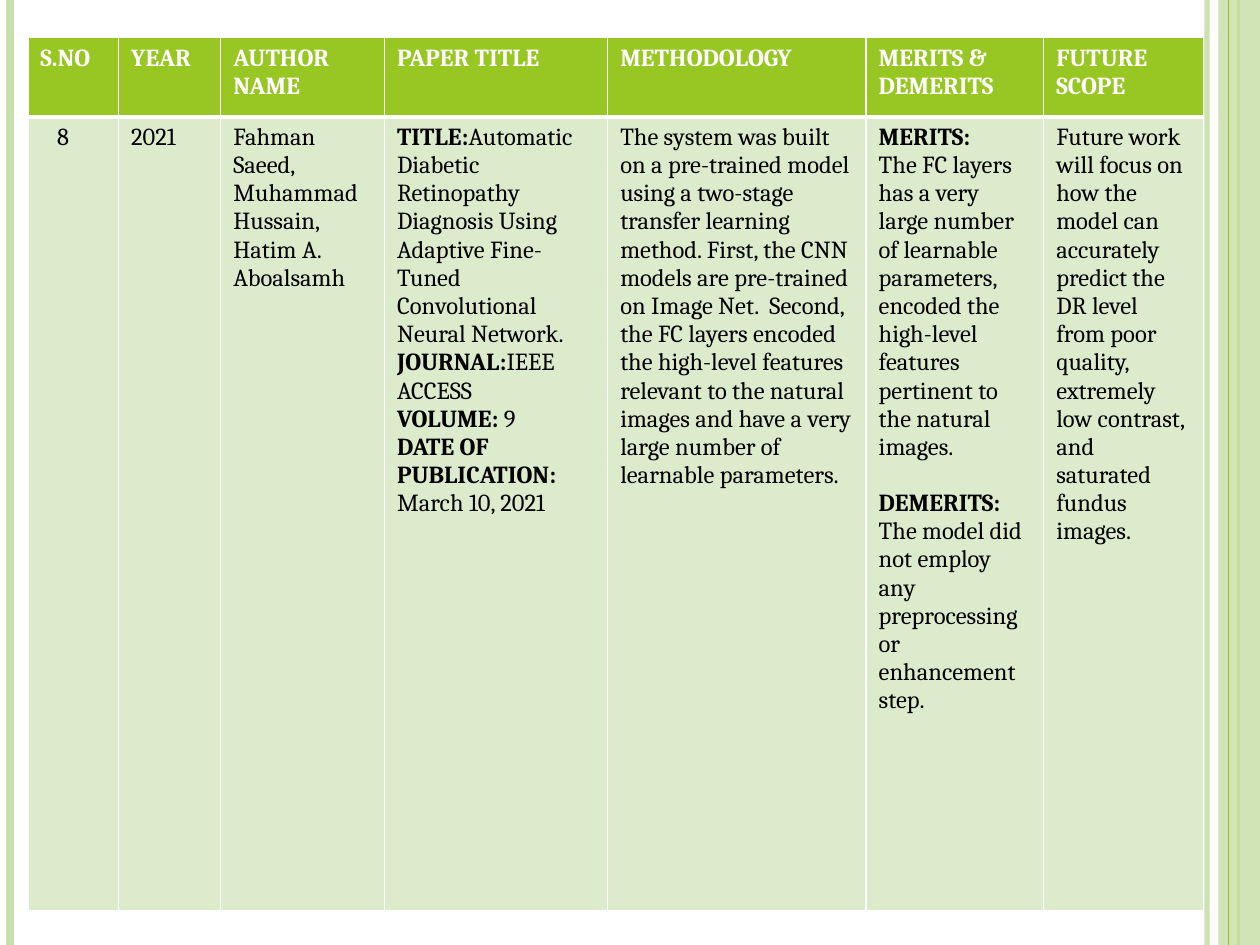
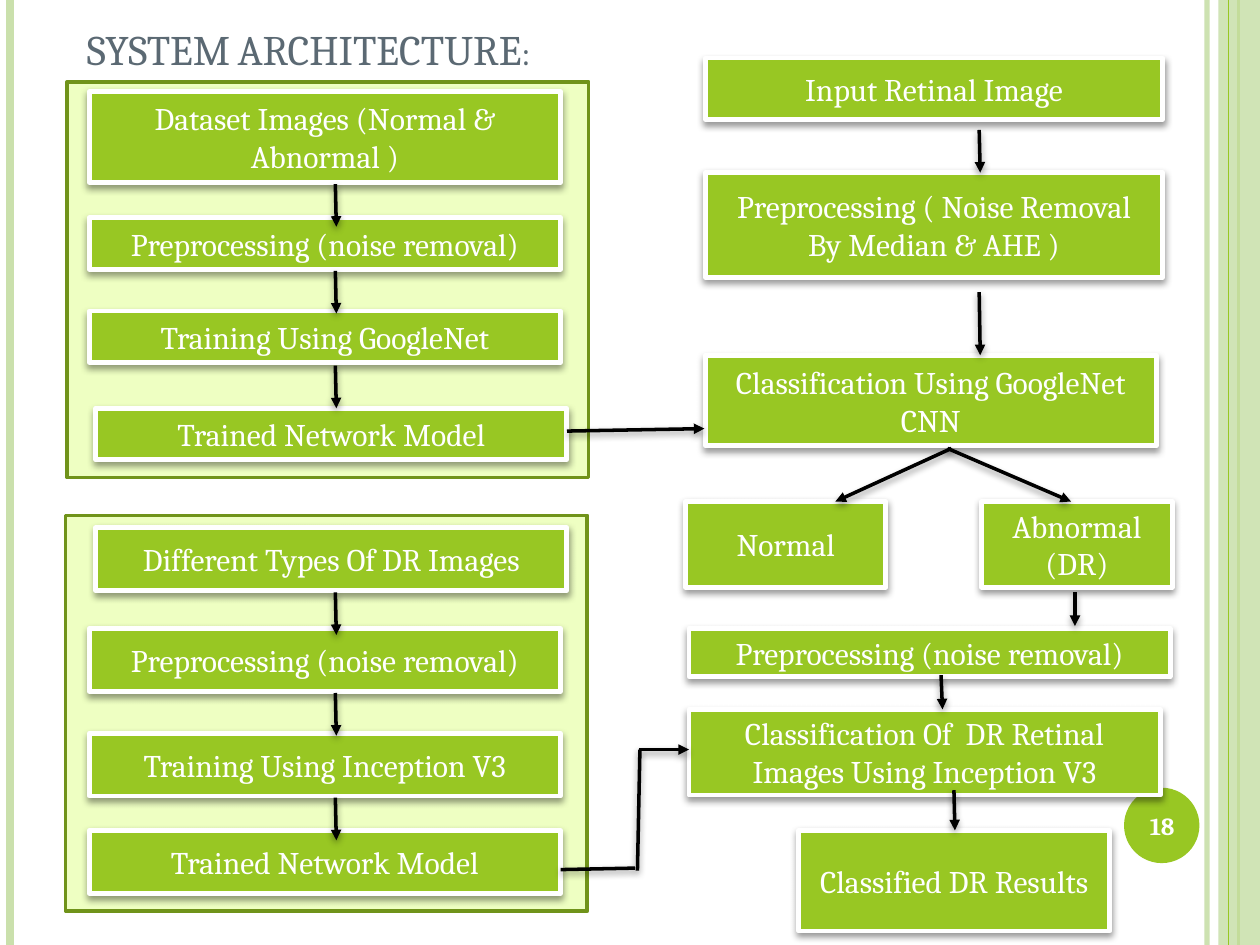
from lxml import etree
from pptx import Presentation
from pptx.dml.color import RGBColor
from pptx.enum.shapes import MSO_CONNECTOR, MSO_SHAPE
from pptx.enum.text import MSO_ANCHOR, PP_ALIGN
from pptx.oxml.ns import qn
from pptx.util import Cm, Pt

RECT, OVAL = MSO_SHAPE.RECTANGLE, MSO_SHAPE.OVAL
STRAIGHT = MSO_CONNECTOR.STRAIGHT
LEFT, CENTER = PP_ALIGN.LEFT, PP_ALIGN.CENTER
MIDDLE, BOTTOM = MSO_ANCHOR.MIDDLE, MSO_ANCHOR.BOTTOM

GREEN = RGBColor(0x98, 0xC7, 0x23)
DARK_GREEN = RGBColor(0x70, 0x93, 0x1A)
BAND_GREEN = RGBColor(0xCA, 0xE0, 0xAC)
PANEL_GREEN = RGBColor(0xE6, 0xFF, 0xA6)
CELL_GREEN = RGBColor(0xDD, 0xEB, 0xCD)
SLATE = RGBColor(0x5B, 0x69, 0x73)
WHITE = RGBColor(0xFF, 0xFF, 0xFF)
BLACK = RGBColor(0, 0, 0)
FONT = "Cambria"
WIDTH, HEIGHT = 25.4, 19.05

COLUMN_WIDTHS = [1.83, 2.06, 3.3, 4.5, 5.21, 3.58, 3.22]
ROW_HEIGHTS = [1.6, 16]
HEADERS = ["S.NO", "YEAR", "AUTHOR NAME", "PAPER TITLE", "METHODOLOGY",
           "MERITS &\nDEMERITS", "FUTURE SCOPE"]
# Each cell is a list of paragraphs; each paragraph is (bold lead, plain text).
PAPER = [
    [("", "8")],
    [("", "2021")],
    [("", "Fahman Saeed, Muhammad Hussain, Hatim A. Aboalsamh")],
    [("TITLE:", "Automatic Diabetic Retinopathy Diagnosis Using Adaptive "
                "Fine-Tuned Convolutional Neural Network."),
     ("JOURNAL:", "IEEE ACCESS"),
     ("VOLUME:", " 9"),
     ("DATE OF", ""),
     ("PUBLICATION:", ""),
     ("", "March 10, 2021")],
    [("", "The system was built on a pre-trained model using a two-stage transfer "
          "learning method. First, the CNN models are pre-trained on Image Net.  "
          "Second, the FC layers encoded the high-level features relevant to the "
          "natural images and have a very large number of learnable parameters.")],
    [("MERITS:", ""),
     ("", "The FC layers has a very large number of learnable parameters, encoded "
          "the high-level features pertinent to the natural images."),
     ("DEMERITS:", " The model did not employ any preprocessing or enhancement step.")],
    [("", "Future work will focus on how the model can accurately predict the DR "
          "level from poor quality, extremely low contrast, and saturated fundus "
          "images.")],
]

PANELS = [(1.32, 10.39), (1.35, 1.65)]
STEPS = [
    ("Dataset Images (Normal & Abnormal )", 1.8, 1.85, 9.5, 1.83),
    ("Preprocessing (noise removal)", 1.8, 4.39, 9.5, 1.04),
    ("Training Using GoogleNet", 1.8, 6.27, 9.5, 1.04),
    ("Trained Network Model", 1.93, 8.23, 9.5, 1.04),
    ("Different Types Of DR Images", 1.93, 10.64, 9.5, 1.27),
    ("Preprocessing (noise removal)", 1.8, 12.67, 9.5, 1.27),
    ("Training Using Inception V3", 1.8, 14.78, 9.5, 1.27),
    ("Trained Network Model", 1.8, 16.74, 9.5, 1.27),
    ("Input Retinal Image", 14.22, 1.17, 9.22, 1.24),
    ("Preprocessing ( Noise Removal By Median & AHE )", 14.22, 3.48, 9.22, 2.11),
    ("Classification Using GoogleNet CNN", 14.22, 7.16, 9.09, 1.83),
    ("Normal", 13.82, 10.11, 4.04, 1.73),
    ("Abnormal (DR)", 19.79, 10.11, 3.84, 1.73),
    ("Preprocessing (noise removal)", 13.89, 12.67, 9.7, 0.97),
    ("Classification Of  DR Retinal Images Using Inception V3", 13.89, 14.3, 9.5, 1.73),
    ("Classified DR Results", 16.1, 16.74, 6.27, 2.03),
]
TRAINING_ARROW_TOPS = [3.71, 5.46, 7.37, 11.94, 13.97, 16.08]
ARROWS = [
    (19.74, 2.62, 19.76, 3.48),
    (19.74, 5.89, 19.76, 7.16),
    (19.18, 9.04, 16.84, 10.11),
    (19.1, 9.04, 21.59, 10.11),
    (21.67, 11.94, 21.67, 12.62),
    (18.97, 13.61, 19, 14.3),
    (19.23, 15.93, 19.25, 16.74),
    (11.43, 8.69, 14.2, 8.64),
    (12.88, 15.11, 13.89, 15.11),
]
PLAIN_LINKS = [(12.9, 15.11, 12.85, 17.55), (11.3, 17.53, 12.8, 17.5)]


def add_xml(parent, tag, **attributes):
    return etree.SubElement(parent, qn(tag),
                            {name: str(value) for name, value in attributes.items()})


def set_alpha(color_parent, percent):
    """Make every colour below the element partly transparent."""
    for color in color_parent.iter(qn("a:srgbClr")):
        add_xml(color, "a:alpha", val=percent * 1000)


def add_shadow(sp):
    sp.shadow.inherit = False
    effects = sp._element.spPr.find(qn("a:effectLst"))
    shadow = add_xml(effects, "a:outerShdw", blurRad=Pt(4), dist=Pt(2),
                     dir=5400000, rotWithShape=0)
    color = add_xml(shadow, "a:srgbClr", val=BLACK)
    add_xml(color, "a:alpha", val=40000)


def add_run(p, text, size=14, color=BLACK, bold=False):
    r = p.add_run()
    r.text = text
    r.font.name, r.font.size, r.font.bold = FONT, Pt(size), bold
    r.font.color.rgb = color
    return r


def write(tf, text, align=LEFT, anchor=MIDDLE, **font):
    tf.word_wrap = True
    tf.vertical_anchor = anchor
    p = tf.paragraphs[0]
    p.alignment = align
    return add_run(p, text, **font)


def add_box(slide, x, y, w, h, fill, kind=RECT, line=None, line_width=2, alpha=None):
    sp = slide.shapes.add_shape(kind, Cm(x), Cm(y), Cm(w), Cm(h))
    sp.shadow.inherit = False
    sp.fill.solid()
    sp.fill.fore_color.rgb = fill
    if alpha:
        set_alpha(sp._element.spPr, alpha)
    if line is None:
        sp.line.fill.background()
    else:
        sp.line.color.rgb = line
        sp.line.width = Pt(line_width)
    return sp


def add_line(slide, x1, y1, x2, y2, color, width, alpha=None):
    line = slide.shapes.add_connector(STRAIGHT, Cm(x1), Cm(y1), Cm(x2), Cm(y2))
    line.line.color.rgb = color
    line.line.width = Pt(width)
    if alpha:
        set_alpha(line._element.spPr, alpha)
    add_xml(line._element.spPr, "a:effectLst")
    return line


def add_link(slide, x1, y1, x2, y2, arrow=True):
    link = add_line(slide, x1, y1, x2, y2, BLACK, 2)
    if arrow:
        add_xml(link.line._get_or_add_ln(), "a:tailEnd", type="triangle")
    add_shadow(link)


def add_step(slide, text, x, y, w, h):
    sp = add_box(slide, x, y, w, h, GREEN, line=WHITE, line_width=2.75)
    add_shadow(sp)
    write(sp.text_frame, text, align=CENTER, size=18, color=WHITE)


def add_text(slide, text, x, y, w, h, **format):
    box = slide.shapes.add_textbox(Cm(x), Cm(y), Cm(w), Cm(h))
    return write(box.text_frame, text, **format)


def add_framed_slide(prs):
    """Add a blank slide with the green side bands."""
    slide = prs.slides.add_slide(prs.slide_layouts[6])
    add_line(slide, 24.33, 0, 24.33, HEIGHT, BAND_GREEN, 3, alpha=93)
    add_line(slide, 0.2, 0, 0.2, HEIGHT, BAND_GREEN, 4.5)
    add_line(slide, 24.97, 0, 24.97, HEIGHT, GREEN, 1.5)
    add_box(slide, 24.56, 0, 0.84, HEIGHT, BAND_GREEN, alpha=87)
    add_line(slide, 24.77, 0, 24.77, HEIGHT, GREEN, 0.75)
    return slide


def style_cell(cell, fill, bottom_width):
    tc_pr = cell._tc.get_or_add_tcPr()
    for side in "LRTB":
        width = bottom_width if side == "B" else 1
        border = add_xml(tc_pr, f"a:ln{side}", w=Pt(width))
        add_xml(add_xml(border, "a:solidFill"), "a:srgbClr", val=WHITE)
    cell.fill.solid()
    cell.fill.fore_color.rgb = fill


def fill_cell(cell, paragraphs):
    tf = cell.text_frame
    for i, (lead, text) in enumerate(paragraphs):
        p = tf.add_paragraph() if i else tf.paragraphs[0]
        if lead == "DEMERITS:":
            p.space_before = Pt(16)
        if lead:
            add_run(p, lead, bold=True)
        if text:
            add_run(p, text)


def add_paper_table(slide):
    table = slide.shapes.add_table(2, len(HEADERS), Cm(0.56), Cm(0.76),
                                   Cm(sum(COLUMN_WIDTHS)), Cm(sum(ROW_HEIGHTS))).table
    for row, height in zip(table.rows, ROW_HEIGHTS):
        row.height = Cm(height)
    for i, (width, header, paragraphs) in enumerate(zip(COLUMN_WIDTHS, HEADERS, PAPER)):
        table.columns[i].width = Cm(width)
        head, body = table.cell(0, i), table.cell(1, i)
        style_cell(head, GREEN, 3)
        style_cell(body, CELL_GREEN, 1)
        for j, line in enumerate(header.split("\n")):
            tf = head.text_frame
            p = tf.add_paragraph() if j else tf.paragraphs[0]
            add_run(p, line, color=WHITE, bold=True)
        fill_cell(body, paragraphs)
    table.cell(1, 0).margin_left = Cm(0.59)


def add_architecture(slide):
    add_box(slide, 22.66, 15.88, 1.52, 1.52, GREEN, kind=OVAL)
    for x, y in PANELS:
        add_box(slide, x, y, 10.52, 7.98, PANEL_GREEN, line=DARK_GREEN, alpha=68)
    title = add_text(slide, "SYSTEM ARCHITECTURE:", 1.5, -0.18, 20.75, 1.8,
                     anchor=BOTTOM, size=24, color=SLATE)
    title.font._element.set("cap", "small")
    add_text(slide, "18", 22.58, 15.93, 1.7, 1.45, align=CENTER, color=WHITE, bold=True)
    for step in STEPS:
        add_step(slide, *step)
    for top in TRAINING_ARROW_TOPS:
        add_link(slide, 6.76, top, 6.78, top + 0.86)
    for ends in ARROWS:
        add_link(slide, *ends)
    for ends in PLAIN_LINKS:
        add_link(slide, *ends, arrow=False)


def main():
    prs = Presentation()
    prs.slide_width, prs.slide_height = Cm(WIDTH), Cm(HEIGHT)
    add_paper_table(add_framed_slide(prs))
    add_architecture(add_framed_slide(prs))
    prs.save("out.pptx")


if __name__ == "__main__":
    main()
